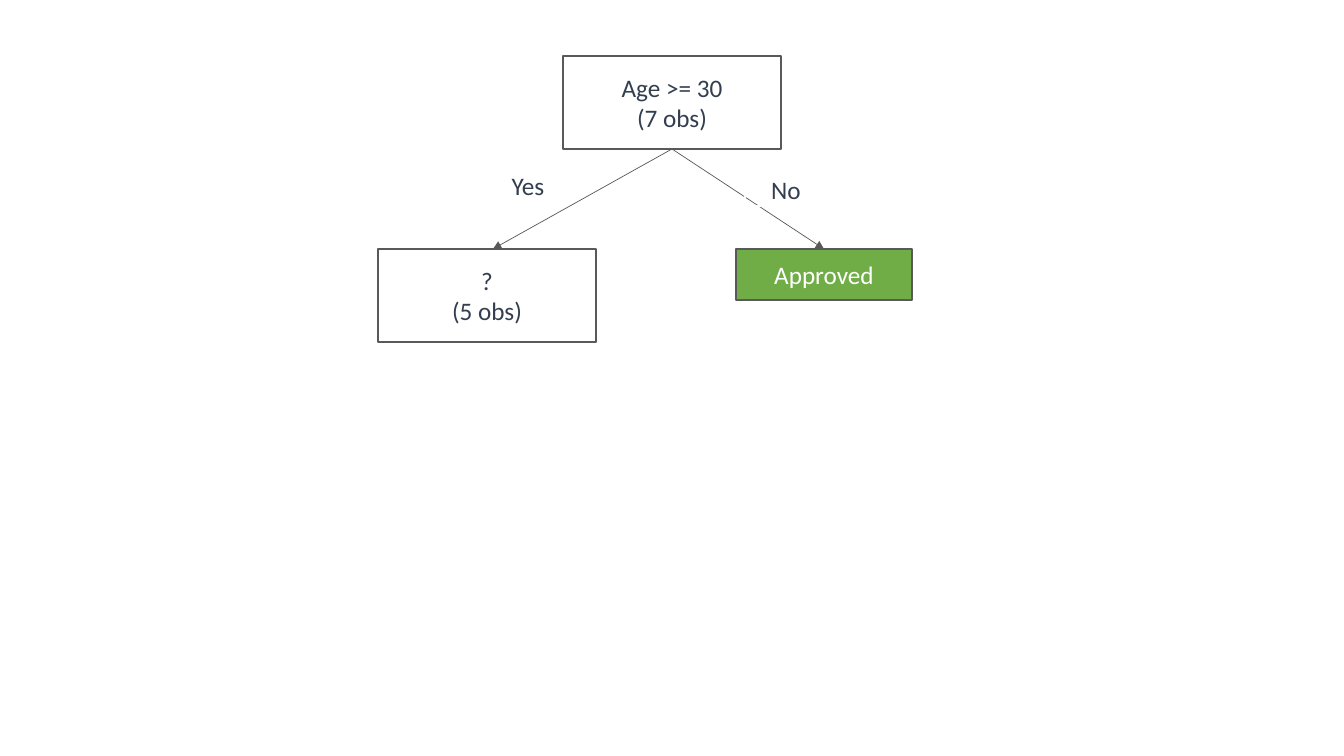
import pptx
import pptx.dml.color
import pptx.enum.shapes
import pptx.enum.text
import pptx.oxml.ns
import pptx.util
from lxml import etree

RGBColor = pptx.dml.color.RGBColor
GREY = RGBColor(0x59, 0x59, 0x59)
NAVY = RGBColor(0x33, 0x3F, 0x50)
GREEN = RGBColor(0x70, 0xAD, 0x47)
WHITE = RGBColor(0xFF, 0xFF, 0xFF)

SLIDE_WIDTH, SLIDE_HEIGHT = 1344, 756
SPLIT_SIZE = (218, 93)
LABEL_SIZE = (82, 34)
OUTCOME_SIZE = (176, 51)


def px(pixels):
    """Turn pixels into EMU."""
    return pptx.util.Emu(round(pixels * 914400 / 100.8))


def add_box(slide, corner, size, text, border=GREY, fill=None, ink=NAVY):
    """Add a rectangle with centred text."""
    box = slide.shapes.add_shape(
        pptx.enum.shapes.MSO_SHAPE.RECTANGLE, *map(px, corner + size))
    box.shadow.inherit = False
    if fill is None:
        box.fill.background()
    else:
        box.fill.solid()
        box.fill.fore_color.rgb = fill
    box.line.color.rgb = border
    box.line.width = pptx.util.Pt(1)
    frame = box.text_frame
    frame.text = text
    frame.word_wrap = True
    frame.vertical_anchor = pptx.enum.text.MSO_ANCHOR.MIDDLE
    for paragraph in frame.paragraphs:
        paragraph.alignment = pptx.enum.text.PP_ALIGN.CENTER
        for run in paragraph.runs:
            run.font.name = "Calibri"
            run.font.size = pptx.util.Pt(18)
            run.font.color.rgb = ink


def add_branch(slide, start, end):
    """Add a thin arrow from a split to its child."""
    branch = slide.shapes.add_connector(
        pptx.enum.shapes.MSO_CONNECTOR.STRAIGHT, *map(px, start + end))
    branch.line.color.rgb = GREY
    branch.line.width = pptx.util.Pt(0.5)
    qn = pptx.oxml.ns.qn
    etree.SubElement(branch.line._get_or_add_ln(), qn("a:tailEnd"),
                     type="triangle")
    etree.SubElement(branch._element.spPr, qn("a:effectLst"))


def main():
    """Build the decision tree slide."""
    deck = pptx.Presentation()
    deck.slide_width, deck.slide_height = px(SLIDE_WIDTH), px(SLIDE_HEIGHT)
    slide = deck.slides.add_slide(deck.slide_layouts[6])

    root_left, root_top = 563, 56
    child_top = 249
    root_foot = (root_left + SPLIT_SIZE[0] // 2, root_top + SPLIT_SIZE[1])

    add_box(slide, (root_left, root_top), SPLIT_SIZE, "Age >= 30\n(7 obs)")
    for arrow_tip in (493, 824):
        add_branch(slide, root_foot, (arrow_tip, child_top))
    add_box(slide, (378, child_top), SPLIT_SIZE, "?\n(5 obs)")
    for answer, corner in (("Yes", (487, 168)), ("No", (745, 172))):
        add_box(slide, corner, LABEL_SIZE, answer, border=WHITE)
    add_box(slide, (736, child_top), OUTCOME_SIZE, "Approved",
            fill=GREEN, ink=WHITE)

    deck.save("out.pptx")


main()
